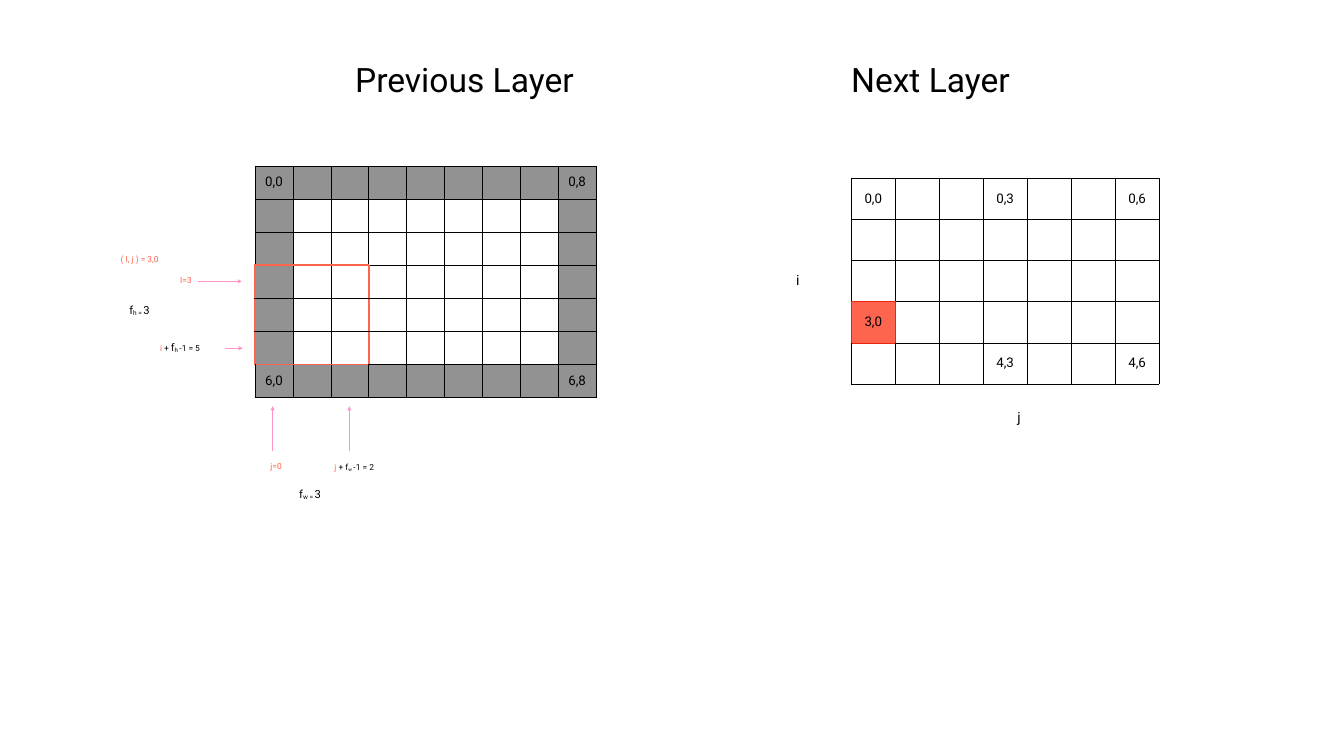
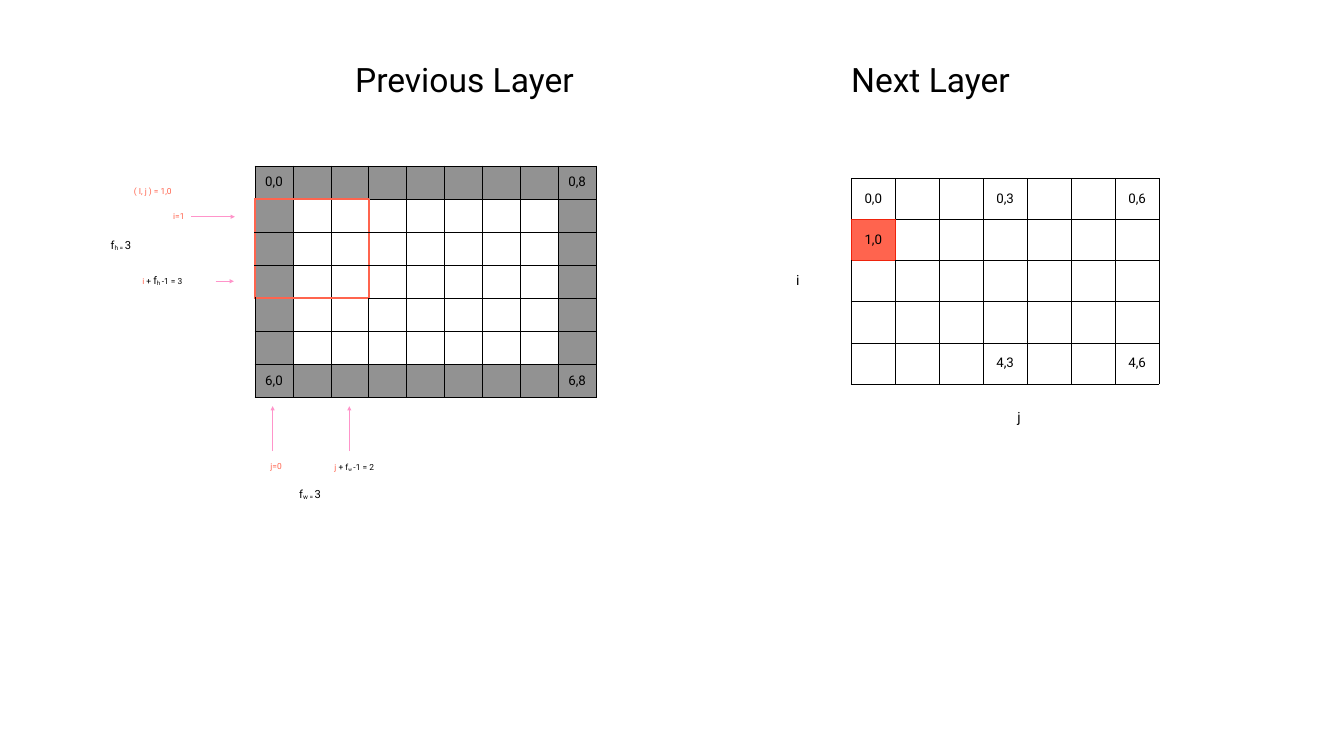
import lxml.etree
import pptx
import pptx.dml.color
import pptx.enum.shapes
import pptx.enum.text
import pptx.oxml
import pptx.oxml.ns
import pptx.util

Pt = pptx.util.Pt
RGB = pptx.dml.color.RGBColor.from_string

FONT = "Roboto"
COLORS = {
    "ink": "000000",
    "padding": "929292",
    "coral": "FF644E",
    "red": "EE230C",
    "arrow": "FF94CA",
}
CELL_FORMAT = {
    "vertical_anchor": pptx.enum.text.MSO_ANCHOR.MIDDLE,
    "margin_left": Pt(4),
    "margin_right": Pt(4),
    "margin_top": Pt(4),
    "margin_bottom": Pt(4),
}
FRAME_FORMAT = {
    **CELL_FORMAT,
    "word_wrap": False,
    "auto_size": pptx.enum.text.MSO_AUTO_SIZE.SHAPE_TO_FIT_TEXT,
}
# Row and column step from a cell to its neighbour on each side
SIDES = {"lnL": (0, -1), "lnR": (0, 1), "lnT": (-1, 0), "lnB": (1, 0)}
SUBSCRIPT = "-6000"

# Runs are (text, size, color, is subscript)
SHARED_LABELS = [
    ((1133.3, 385.9, 13.7, 31.7), [("i", 20, "ink", False)]),
    ((1449.4, 581.8, 13.7, 31.7), [("j", 20, "ink", False)]),
    ((1211.8, 84.2, 241.2, 63.4), [("Next Layer", 48, "ink", False)]),
    ((423.4, 694.8, 43.2, 25.2),
     [("f", 16, "ink", False), ("w = ", 16, "ink", True), ("3", 16, "ink", False)]),
    ((382.3, 656.6, 28.8, 21.6), [("j=0", 12, "coral", False)]),
    ((473.8, 655.2, 73.4, 24.5),
     [("j ", 12, "coral", False), ("+ f", 12, "ink", False), ("w", 12, "ink", True),
      (" ", 15, "ink", True), ("-1 = 2", 12, "ink", False)]),
]
SHARED_ARROWS = [(x, 644.4, x, 580.3) for x in (389.5, 499)]

STEPS = [
    {
        "row": 3,
        "first_row": "I=3",
        "height_at": (180.7, 432),
        "last_row_at": (224.6, 485.3),
        "first_row_at": (253.4, 391),
        "position_at": (168.5, 360),
        "arrows": [(283, 401.8, 345.6, 401.8), (321.1, 497.5, 347, 497.5)],
    },
    {
        "row": 1,
        "first_row": "i=1",
        "height_at": (154.1, 339.1),
        "last_row_at": (199.4, 389.5),
        "first_row_at": (243.4, 298.8),
        "position_at": (187.2, 263.5),
        "arrows": [(272.9, 309.6, 335.5, 309.6), (308.2, 401.8, 334.1, 401.8)],
    },
]


def write_text(frame, runs, format_values, alignment):
    """Format a text frame, or a table cell's frame, and fill its paragraph."""
    for name, value in format_values.items():
        setattr(frame, name, value)
    paragraph = frame.paragraphs[0]
    paragraph.alignment = alignment
    paragraph.line_spacing = 0.9
    for text, size, color, is_subscript in runs:
        run = paragraph.add_run()
        run.text = text
        run.font.name = FONT
        run.font.size = Pt(size)
        run.font.color.rgb = RGB(COLORS[color])
        if is_subscript:
            run._r.get_or_add_rPr().set("baseline", SUBSCRIPT)


def add_grid(slide, box, row_count, column_count, texts, fills, window, edge):
    """Draw a grid whose window (a set of cells) is outlined in edge (color, width)."""
    shape = slide.shapes.add_table(row_count, column_count, *map(Pt, box))
    table = shape.table
    table.first_row = False
    table.horz_banding = False
    for column in table.columns:
        column.width = Pt(box[2] / column_count)
    for row in table.rows:
        row.height = Pt(box[3] / row_count)
    for row in range(row_count):
        for column in range(column_count):
            cell = table.cell(row, column)
            for name, value in CELL_FORMAT.items():
                setattr(cell, name, value)
            properties = cell._tc.get_or_add_tcPr()
            for side, (row_step, column_step) in SIDES.items():
                neighbour = (row + row_step, column + column_step)
                on_edge = ((row, column) in window) != (neighbour in window)
                color, width = edge if on_edge else ("ink", 1)
                properties.append(pptx.oxml.parse_xml(
                    f'<a:{side} {pptx.oxml.ns.nsdecls("a")} w="{Pt(width)}">'
                    f'<a:solidFill><a:srgbClr val="{COLORS[color]}"/></a:solidFill>'
                    f'<a:prstDash val="solid"/></a:{side}>'))
            if (row, column) in fills:
                cell.fill.solid()
                cell.fill.fore_color.rgb = RGB(COLORS[fills[row, column]])
            else:
                cell.fill.background()
            if (row, column) in texts:
                write_text(cell.text_frame, [(texts[row, column], 19, "ink", False)],
                           {}, pptx.enum.text.PP_ALIGN.CENTER)


presentation = pptx.Presentation()
presentation.slide_width = Pt(1920)
presentation.slide_height = Pt(1080)
title_only_layout = presentation.slide_layouts[5]
left_aligned = pptx.enum.text.PP_ALIGN.LEFT

padding_fills = {
    (row, column): "padding"
    for row in range(7) for column in range(9)
    if row in (0, 6) or column in (0, 8)
}
previous_texts = {(row, column): f"{row},{column}" for row in (0, 6) for column in (0, 8)}
next_cells = [(0, 0), (0, 3), (0, 6), (4, 3), (4, 6)]

for step in STEPS:
    slide = presentation.slides.add_slide(title_only_layout)
    first = step["row"]

    title = slide.shapes.title
    title.left, title.top, title.width, title.height = map(Pt, (503.3, 84.2, 325.4, 63.4))
    write_text(title.text_frame, [("Previous Layer", 48, "ink", False)],
               FRAME_FORMAT, left_aligned)

    filter_window = {(row, column) for row in range(first, first + 3) for column in range(3)}
    next_texts = {cell: f"{cell[0]},{cell[1]}" for cell in next_cells + [(first, 0)]}
    add_grid(slide, (1216.1, 254.9, 439.9, 293.8), 5, 7, next_texts,
             {(first, 0): "coral"}, {(first, 0)}, ("red", 1))
    add_grid(slide, (364.3, 236.9, 487.4, 331.2), 7, 9, previous_texts,
             padding_fills, filter_window, ("coral", 3))

    labels = SHARED_LABELS + [
        ((*step["height_at"], 41, 25.2),
         [("f", 16, "ink", False), ("h = ", 16, "ink", True), ("3", 16, "ink", False)]),
        ((*step["last_row_at"], 70.6, 24.5),
         [("i ", 12, "coral", False), ("+ ", 12, "ink", False), ("f", 15, "ink", False),
          ("h ", 15, "ink", True), (f"-1 = {first + 2}", 12, "ink", False)]),
        ((*step["first_row_at"], 25.9, 21.6), [(step["first_row"], 12, "coral", False)]),
        ((*step["position_at"], 64.8, 21.6),
         [(f"( I, j ) = {first},0", 12, "coral", False)]),
    ]
    for box, runs in labels:
        text_box = slide.shapes.add_textbox(*map(Pt, box))
        write_text(text_box.text_frame, runs, FRAME_FORMAT, left_aligned)

    for ends in step["arrows"] + SHARED_ARROWS:
        arrow = slide.shapes.add_connector(
            pptx.enum.shapes.MSO_CONNECTOR.STRAIGHT, *map(Pt, ends))
        arrow.line.color.rgb = RGB(COLORS["arrow"])
        arrow.line.width = Pt(1)
        lxml.etree.SubElement(arrow.line._get_or_add_ln(),
                              pptx.oxml.ns.qn("a:tailEnd"), type="triangle")
        lxml.etree.SubElement(arrow._element.spPr, pptx.oxml.ns.qn("a:effectLst"))

presentation.save("out.pptx")
